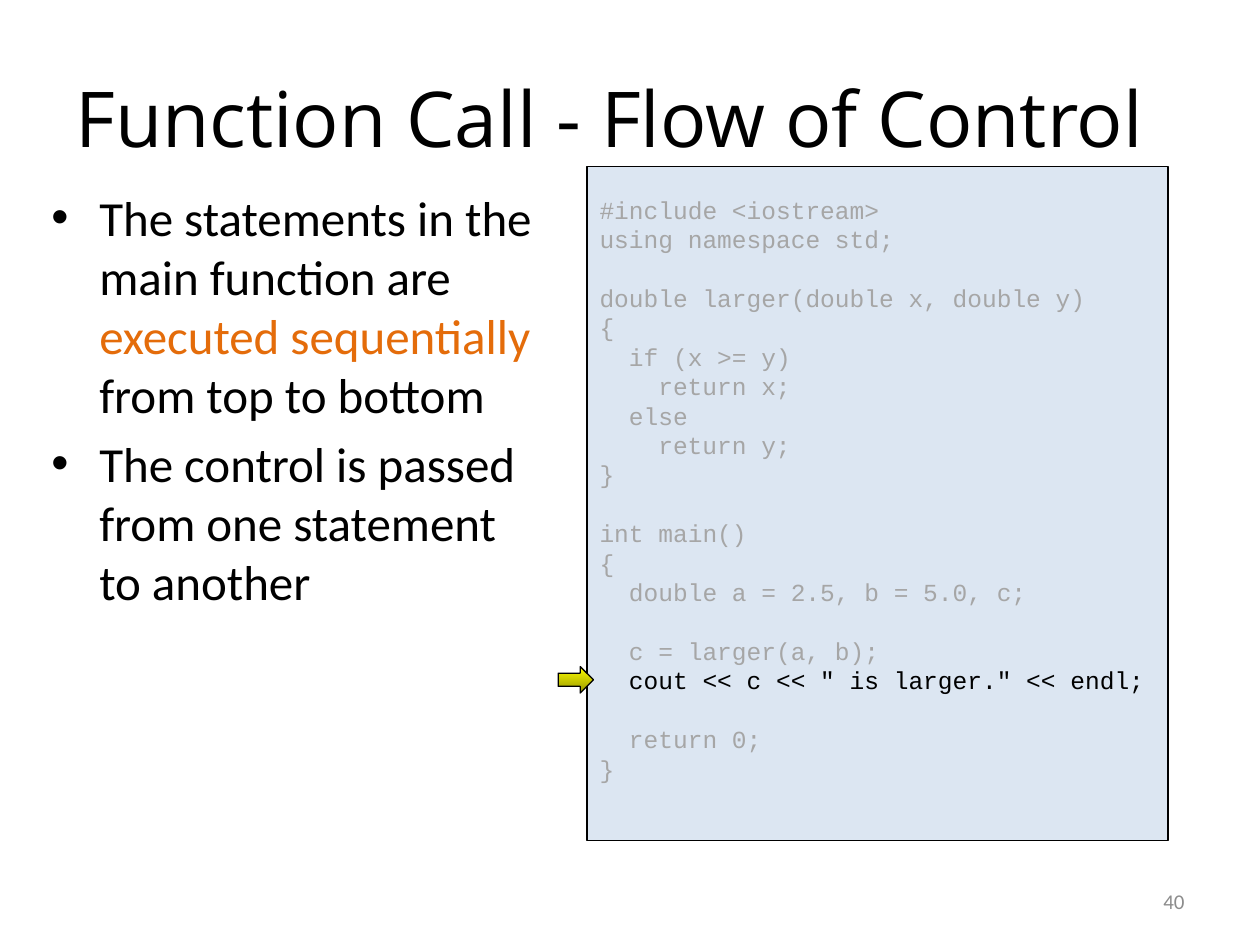
from pptx import Presentation
from pptx.dml.color import RGBColor
from pptx.enum.shapes import MSO_SHAPE
from pptx.enum.text import MSO_ANCHOR, PP_ALIGN
from pptx.oxml.ns import qn
from pptx.util import Inches, Pt
from lxml import etree

RECTANGLE, ARROW = MSO_SHAPE.RECTANGLE, MSO_SHAPE.RIGHT_ARROW
TOP, MIDDLE = MSO_ANCHOR.TOP, MSO_ANCHOR.MIDDLE
LEFT, RIGHT = PP_ALIGN.LEFT, PP_ALIGN.RIGHT
BLACK = RGBColor(0x00, 0x00, 0x00)
ORANGE = RGBColor(0xE4, 0x6C, 0x0A)
PANEL_BLUE = RGBColor(0xDC, 0xE6, 0xF2)
CODE_GREY = RGBColor(0xA6, 0xA6, 0xA6)
NUMBER_GREY = RGBColor(0x8C, 0x8C, 0x8C)
OLIVE = RGBColor(0x97, 0x97, 0x00)
YELLOW = RGBColor(0xFF, 0xFF, 0x00)

POINTS = [
    [("The statements in the main function are ", BLACK),
     ("executed sequentially ", ORANGE),
     ("from top to bottom", BLACK)],
    [("The control is passed from one statement to another", BLACK)],
]
CODE = """#include <iostream>
using namespace std;

double larger(double x, double y)
{
  if (x >= y)
    return x;
  else
    return y;
}

int main()
{
  double a = 2.5, b = 5.0, c;

  c = larger(a, b);
  cout << c << " is larger." << endl;

  return 0;
}"""
ACTIVE = "cout"
CODE_LINE = Pt(16.8)
INDENT_PER_SPACE = Pt(8.4)


def style(run, font, size, color):
    run.font.name = font
    run.font.size = Pt(size)
    run.font.color.rgb = color


def add_text(slide, box, anchor):
    frame = slide.shapes.add_textbox(*map(Inches, box)).text_frame
    frame.word_wrap = True
    frame.vertical_anchor = anchor
    return frame


def add_label(slide, box, text, font, size, color, align):
    paragraph = add_text(slide, box, MIDDLE).paragraphs[0]
    paragraph.text = text
    paragraph.alignment = align
    style(paragraph.runs[0], font, size, color)


def add_outlined(slide, kind, box):
    shape = slide.shapes.add_shape(kind, *map(Inches, box))
    shape.shadow.inherit = False
    shape.line.color.rgb = BLACK
    shape.line.width = Pt(0.75)
    return shape


def next_paragraph(frame, index):
    return frame.add_paragraph() if index else frame.paragraphs[0]


def set_indent(paragraph, left, first=0):
    properties = paragraph._p.get_or_add_pPr()
    properties.set("marL", str(int(left)))
    properties.set("indent", str(int(first)))
    return properties


def add_bullets(slide, box, points):
    frame = add_text(slide, box, TOP)
    for index, parts in enumerate(points):
        paragraph = next_paragraph(frame, index)
        paragraph.space_before = Pt(6)
        properties = set_indent(paragraph, Inches(0.38), -Inches(0.38))
        etree.SubElement(properties, qn("a:buFont"), typeface="Arial")
        etree.SubElement(properties, qn("a:buChar"), char="\u2022")
        for text, color in parts:
            run = paragraph.add_run()
            run.text = text
            style(run, "Calibri", 28, color)


def add_code(slide, box, code):
    panel = add_outlined(slide, RECTANGLE, box)
    panel.fill.solid()
    panel.fill.fore_color.rgb = PANEL_BLUE
    frame = panel.text_frame
    frame.word_wrap = True
    frame.vertical_anchor = MIDDLE
    frame.margin_bottom = Inches(0.28)
    index, blank = 0, False
    for line in code.split("\n"):
        text = line.strip()
        if text:
            paragraph = next_paragraph(frame, index)
            paragraph.text = text
            paragraph.alignment = LEFT
            paragraph.space_before = CODE_LINE if blank else Pt(0)
            set_indent(paragraph, INDENT_PER_SPACE * (len(line) - len(text)))
            color = BLACK if text.startswith(ACTIVE) else CODE_GREY
            style(paragraph.runs[0], "Courier New", 14, color)
            index += 1
        blank = not text


def add_pointer(slide, box):
    pointer = add_outlined(slide, ARROW, box)
    pointer.fill.gradient()
    pointer.fill.gradient_angle = 90
    for stop, color in zip(pointer.fill.gradient_stops, (OLIVE, YELLOW)):
        stop.color.rgb = color
    pointer.fill.gradient_stops[0].position = 0
    pointer.fill.gradient_stops[1].position = 1


def main():
    """Build the slide on the flow of control in a function call."""
    deck = Presentation()
    deck.slide_width, deck.slide_height = Inches(10), Inches(7.5)
    slide = deck.slides.add_slide(deck.slide_layouts[6])
    add_label(slide, (0.5, 0.3, 9, 1.25), "Function Call - Flow of Control",
              "Open Sans", 44, BLACK, LEFT)
    add_bullets(slide, (0.31, 1.44, 4.06, 5.37), POINTS)
    add_code(slide, (4.66, 1.32, 4.61, 5.35), CODE)
    add_pointer(slide, (4.43, 5.29, 0.28, 0.21))
    add_label(slide, (7.17, 6.95, 2.33, 0.4), "40", "Calibri", 12, NUMBER_GREY, RIGHT)
    deck.save("out.pptx")


main()
